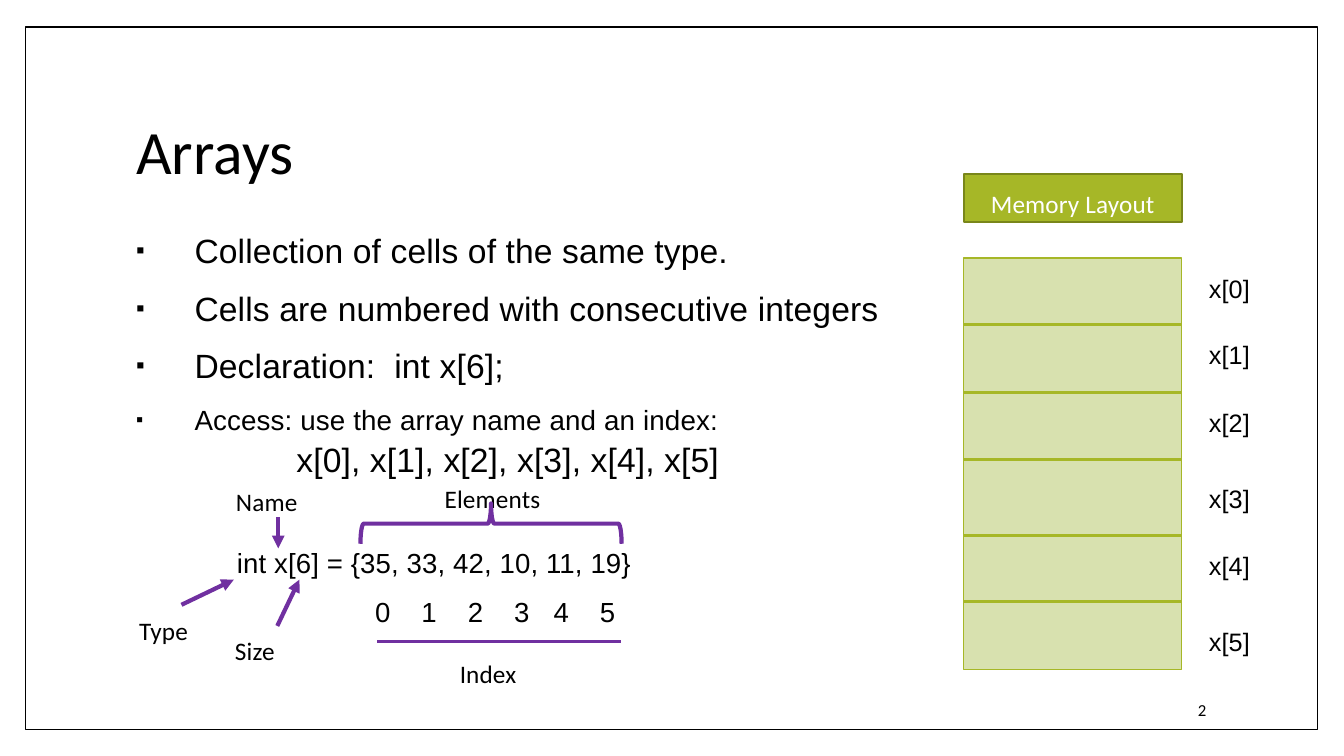
"""Build the slide that explains arrays and their memory layout."""
from dataclasses import dataclass

from lxml import etree
from pptx import Presentation
from pptx import util as u
from pptx.dml.color import RGBColor
from pptx.enum import shapes, text
from pptx.oxml import ns

BLACK, WHITE = "000000", "FFFFFF"
GREEN, PALE, OLIVE, PURPLE = "A6B727", "D8E1AF", "79861A", "7030A0"


@dataclass
class Label:
    words: str
    left: float
    top: float
    width: float
    height: float = 0.25
    size: float = 18
    font: str = "Calibri"


@dataclass
class Line:
    x1: float
    y1: float
    x2: float
    y2: float
    color: str = PURPLE
    weight: float = 2.25
    arrow: bool = False


@dataclass
class Point:
    words: str
    size: float = 24
    bullet: bool = True


LABELS = [
    Label("Arrays", 1.35, 1.12, 1.76, 0.61, 44),
    Label("int x[6] = {35, 33, 42, 10, 11, 19}", 2.35, 5.42, 3.99, 0.26, 19.7, "Arial"),
    Label("2", 11.88, 6.94, 0.12, 0.17, 12),
    Label("Name", 2.34, 4.82, 0.68),
    Label("Size", 2.33, 6.3, 0.48),
    Label("Type", 1.38, 6.1, 0.55),
    Label("Elements", 4.41, 4.79, 1.02),
    Label("Index", 4.56, 6.53, 0.62),
]
POINTS = [
    Point("Collection of cells of the same type."),
    Point("Cells are numbered with consecutive integers"),
    Point("Declaration:  int x[6];"),
    Point("Access: use the array name and an index:", 19.8),
    Point("x[0], x[1], x[2], x[3], x[4], x[5]", bullet=False),
]
CELLS = [2.71, 3.37, 4.04, 4.79, 5.46, 6.21]
EDGES = [3.22, 3.89, 4.56, 5.31, 5.97]
TABS = [0.46, 0.92, 1.38, 1.77, 2.23]
LEFT, RIGHT = 9.56, 11.72
LINES = [Line(LEFT, y, RIGHT, y, GREEN) for y in EDGES] + [
    Line(3.74, 6.36, 6.16, 6.36),
    Line(2.76, 5.13, 2.76, 5.44, weight=3, arrow=True),
    Line(1.8, 6, 2.32, 5.75, weight=3, arrow=True),
    Line(2.75, 6.21, 2.97, 5.75, weight=3, arrow=True),
]


def paint(target, color: str) -> None:
    """Set a colour from a hex string."""
    target.rgb = RGBColor.from_string(color)


def write(para, words: str, *, size: float = 18, font: str = "Arial",
          color: str = BLACK) -> None:
    """Add formatted text to a paragraph."""
    run = para.add_run()
    run.text = words
    run.font.size, run.font.name = u.Pt(size), font
    paint(run.font.color, color)
    run._r.get_or_add_rPr().set("spc", "10")


def add_box(slide, left: float, top: float, width: float, height: float):
    """Add an unwrapped text frame without margins."""
    box = slide.shapes.add_textbox(*map(u.Inches, (left, top, width, height)))
    frame = box.text_frame
    frame.margin_left = frame.margin_right = 0
    frame.margin_top = frame.margin_bottom = 0
    frame.word_wrap = False
    frame.auto_size = text.MSO_AUTO_SIZE.SHAPE_TO_FIT_TEXT
    return frame


def add_label(slide, item: Label) -> None:
    """Draw one label."""
    frame = add_box(slide, item.left, item.top, item.width, item.height)
    write(frame.paragraphs[0], item.words, size=item.size, font=item.font)


def add_shape(slide, kind, left: float, top: float, width: float, height: float,
              *, line: str, weight: float, fill: str = ""):
    """Draw a preset shape."""
    shape = slide.shapes.add_shape(kind, *map(u.Inches, (left, top, width, height)))
    shape.shadow.inherit = False
    if fill:
        shape.fill.solid()
        paint(shape.fill.fore_color, fill)
    else:
        shape.fill.background()
    paint(shape.line.color, line)
    shape.line.width = u.Pt(weight)
    return shape


def add_line(slide, item: Line) -> None:
    """Draw a line, with an arrowhead if asked."""
    ends = map(u.Inches, (item.x1, item.y1, item.x2, item.y2))
    link = slide.shapes.add_connector(shapes.MSO_CONNECTOR.STRAIGHT, *ends)
    paint(link.line.color, item.color)
    link.line.width = u.Pt(item.weight)
    props = link._element.spPr
    if item.arrow:
        etree.SubElement(props.find(ns.qn("a:ln")), ns.qn("a:tailEnd"), type="triangle")
    etree.SubElement(props, ns.qn("a:effectLst"))


def add_points(slide) -> None:
    """Draw the bulleted list."""
    frame = add_box(slide, 1.35, 2.28, 7.4, 2.34)
    for i, item in enumerate(POINTS):
        para = frame.add_paragraph() if i else frame.paragraphs[0]
        if i:
            para.space_before = u.Pt(12.4 if item.bullet else 2)
        props = para._p.get_or_add_pPr()
        props.set("marL", str(u.Inches(0.58 if item.bullet else 1.59)))
        props.set("indent", str(u.Inches(-0.58 if item.bullet else 0)))
        if item.bullet:
            etree.SubElement(props, ns.qn("a:buSzPct"), val="73000")
            etree.SubElement(props, ns.qn("a:buFont"), typeface="Arial")
            etree.SubElement(props, ns.qn("a:buChar"), char="▪")
        else:
            etree.SubElement(props, ns.qn("a:buNone"))
        write(para, item.words, size=item.size)


def add_index(slide) -> None:
    """Draw the row of index numbers on tab stops."""
    para = add_box(slide, 3.72, 5.9, 2.46, 0.26).paragraphs[0]
    stops = etree.SubElement(para._p.get_or_add_pPr(), ns.qn("a:tabLst"))
    for stop in TABS:
        etree.SubElement(stops, ns.qn("a:tab"), pos=str(u.Inches(stop)), algn="l")
    write(para, "\t".join(map(str, range(6))), size=19.7)


def add_memory(slide) -> None:
    """Draw the memory block, its heading and cell names."""
    rect, width = shapes.MSO_SHAPE.RECTANGLE, RIGHT - LEFT
    add_shape(slide, rect, LEFT, 2.56, width, 4.08, fill=PALE, line=GREEN, weight=0.79)
    head = add_shape(slide, rect, LEFT, 1.73, width, 0.47, fill=GREEN, line=OLIVE, weight=1.5)
    frame = head.text_frame
    frame.margin_top, frame.margin_bottom = u.Inches(0.1), 0
    frame.vertical_anchor = text.MSO_ANCHOR.MIDDLE
    frame.paragraphs[0].alignment = text.PP_ALIGN.CENTER
    write(frame.paragraphs[0], "Memory Layout", font="Calibri", color=WHITE)
    for i, top in enumerate(CELLS):
        add_label(slide, Label(f"x[{i}]", 11.99, top, 0.47, 0.23, font="Arial"))


def main() -> None:
    """Build and save the slide."""
    deck = Presentation()
    deck.slide_width, deck.slide_height = u.Inches(13.33), u.Inches(7.5)
    slide = deck.slides.add_slide(deck.slide_layouts[6])
    add_shape(slide, shapes.MSO_SHAPE.RECTANGLE, 0.25, 0.27, 12.82, 6.97,
              fill=WHITE, line=BLACK, weight=1)
    add_points(slide)
    add_memory(slide)
    add_index(slide)
    for item in LABELS:
        add_label(slide, item)
    brace = add_shape(slide, shapes.MSO_SHAPE.LEFT_BRACE, 4.67, 3.9, 0.4, 2.59,
                      line=PURPLE, weight=3)
    brace.rotation = 90
    for item in LINES:
        add_line(slide, item)
    deck.save("out.pptx")


if __name__ == "__main__":
    main()
